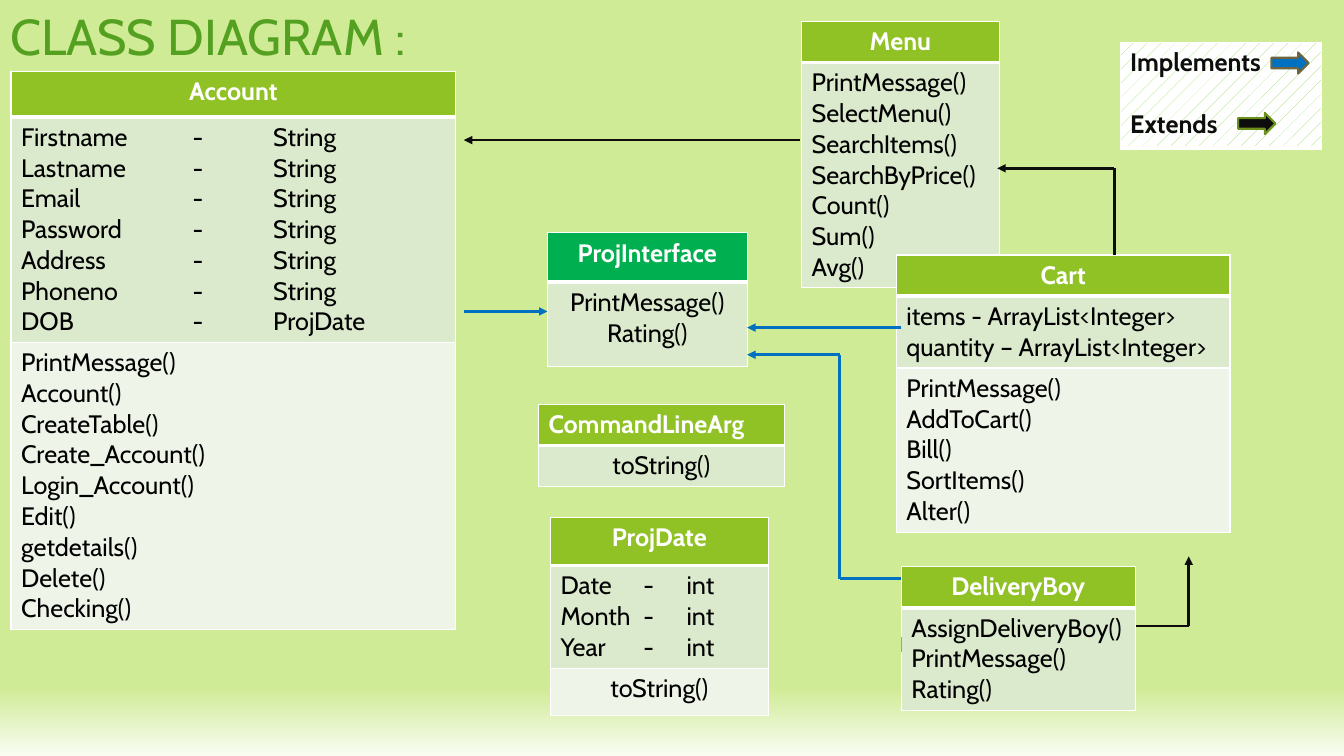
from collections import namedtuple

from lxml import etree
from pptx import Presentation
from pptx.dml.color import RGBColor
from pptx.enum.dml import MSO_PATTERN
from pptx.enum.shapes import MSO_CONNECTOR, MSO_SHAPE
from pptx.enum.text import MSO_ANCHOR, MSO_AUTO_SIZE, PP_ALIGN
from pptx.oxml.ns import qn
from pptx.util import Emu, Pt

PX = 9144
FONT = "Cabin"
LEFT, CENTER = PP_ALIGN.LEFT, PP_ALIGN.CENTER
STRAIGHT = MSO_CONNECTOR.STRAIGHT
RIGHT_ARROW = MSO_SHAPE.RIGHT_ARROW
PERCENT_5 = MSO_PATTERN.PERCENT_5
TOP = MSO_ANCHOR.TOP
NO_AUTOFIT = MSO_AUTO_SIZE.NONE

WHITE = RGBColor(0xFF, 0xFF, 0xFF)
BLACK = RGBColor(0x00, 0x00, 0x00)
INK = RGBColor(0x0D, 0x0D, 0x0D)
BLUE = RGBColor(0x00, 0x70, 0xC0)
GREEN = RGBColor(0x90, 0xC2, 0x26)
INTERFACE_GREEN = RGBColor(0x00, 0xB0, 0x50)
TITLE_GREEN = RGBColor(0x54, 0xA0, 0x21)
HATCH_GREEN = RGBColor(0x94, 0xDE, 0x61)
OLIVE = RGBColor(0x6D, 0x65, 0x40)
MOSS = RGBColor(0x6B, 0x90, 0x1C)
BACKGROUND = RGBColor(0xD0, 0xEB, 0x96)
BACKGROUND_END = RGBColor(0xFA, 0xFD, 0xF3)
SECTION_FILLS = (RGBColor(0xDB, 0xE9, 0xCD), RGBColor(0xEE, 0xF4, 0xE8))

Section = namedtuple("Section", "height lines alignment tabs", defaults=(LEFT, ()))


def px(value):
    return Emu(value * PX)


def style_runs(paragraph, size, colour, bold=False):
    for run in paragraph.runs:
        run.font.name = FONT
        run.font.size = Pt(size)
        run.font.bold = bold
        run.font.color.rgb = colour


def set_tabs(paragraph, positions):
    properties = paragraph._p.get_or_add_pPr()
    tab_list = etree.SubElement(properties, qn("a:tabLst"))
    for position in positions:
        etree.SubElement(tab_list, qn("a:tab"), pos=str(px(position)), algn="l")


def set_borders(cell, top_width, bottom_width):
    properties = cell._tc.get_or_add_tcPr()
    widths = (("lnL", 1), ("lnR", 1), ("lnT", top_width), ("lnB", bottom_width))
    for side, width in widths:
        line = etree.SubElement(properties, qn(f"a:{side}"), w=str(Pt(width)))
        fill = etree.SubElement(line, qn("a:solidFill"))
        etree.SubElement(fill, qn("a:srgbClr"), val=str(WHITE))


def write_cell(cell, lines, colour, bold=False, alignment=LEFT, tabs=()):
    cell.text_frame.text = "\n".join(lines)
    for paragraph in cell.text_frame.paragraphs:
        paragraph.alignment = alignment
        style_runs(paragraph, 18, colour, bold)
        if tabs:
            set_tabs(paragraph, tabs)


def add_column(slide, left, top, width, heights):
    frame = slide.shapes.add_table(
        len(heights), 1, px(left), px(top), px(width), px(sum(heights)))
    table = frame.table
    table.first_row = False
    table.horz_banding = False
    for row, height in zip(table.rows, heights):
        row.height = px(height)
    cells = [table.cell(index, 0) for index in range(len(heights))]
    for index, cell in enumerate(cells):
        set_borders(cell, 3 if index == 1 else 1, 3 if index == 0 else 1)
    return cells


def add_class(slide, name, left, top, width, header_height, sections,
              header_fill=GREEN, name_alignment=CENTER):
    heights = [header_height] + [section.height for section in sections]
    header, *bodies = add_column(slide, left, top, width, heights)
    header.fill.solid()
    header.fill.fore_color.rgb = header_fill
    write_cell(header, [name], WHITE, True, name_alignment)
    for cell, section, fill in zip(bodies, sections, SECTION_FILLS):
        cell.fill.solid()
        cell.fill.fore_color.rgb = fill
        write_cell(cell, section.lines, BLACK, False, section.alignment, section.tabs)


def add_route(slide, colour, points, width=2, arrow=True):
    for start, end in zip(points, points[1:]):
        connector = slide.shapes.add_connector(STRAIGHT, *map(px, start + end))
        connector.line.color.rgb = colour
        connector.line.width = Pt(width)
        if arrow and end == points[-1]:
            line = connector.line._get_or_add_ln()
            etree.SubElement(line, qn("a:tailEnd"), type="triangle")
        etree.SubElement(connector._element.spPr, qn("a:effectLst"))


def add_legend(slide):
    cell, = add_column(slide, 1111, 42, 200, [105])
    cell.fill.patterned()
    cell.fill.pattern = PERCENT_5
    cell.fill.fore_color.rgb = HATCH_GREEN
    cell.fill.back_color.rgb = WHITE
    write_cell(cell, ["Implements", "Extends"], INK, True)
    cell.text_frame.paragraphs[1].space_before = Pt(22)
    for left, top, fill, outline in ((1261, 52, BLUE, OLIVE), (1228, 112, INK, MOSS)):
        arrow = slide.shapes.add_shape(RIGHT_ARROW, px(left), px(top), px(37), px(21))
        arrow.shadow.inherit = False
        arrow.fill.solid()
        arrow.fill.fore_color.rgb = fill
        arrow.line.color.rgb = outline
        arrow.line.width = Pt(1.5)


def set_background(slide):
    fill = slide.background.fill
    fill.gradient()
    fill.gradient_angle = 270
    stops = ((0.91, BACKGROUND), (1, BACKGROUND_END))
    for stop, (position, colour) in zip(fill.gradient_stops, stops):
        stop.position = position
        stop.color.rgb = colour


def set_title(slide, text):
    title = slide.shapes.title
    title.left, title.top, title.width, title.height = map(px, (0, 0, 1333, 750))
    frame = title.text_frame
    frame.text = text
    frame.auto_size = NO_AUTOFIT
    frame.vertical_anchor = TOP
    frame.paragraphs[0].alignment = LEFT
    style_runs(frame.paragraphs[0], 36, TITLE_GREEN)


def add_classes(slide):
    add_class(slide, "ProjDate", 546, 513, 216, 48, [
        Section(102, ["Date\t-\tint", "Month\t-\tint", "Year\t-\tint"], LEFT, (82, 125)),
        Section(47, ["toString()"], CENTER)])
    add_class(slide, "ProjInterface", 543, 231, 198, 49, [
        Section(84, ["PrintMessage()", "Rating()"], CENTER)], INTERFACE_GREEN)
    add_class(slide, "Account", 11, 71, 441, 45, [
        Section(223, ["Firstname\t-\tString", "Lastname\t-\tString", "Email\t-\tString",
                      "Password\t-\tString", "Address\t-\tString", "Phoneno\t-\tString",
                      "DOB\t-\tProjDate"], LEFT, (170, 250)),
        Section(285, ["PrintMessage()", "Account()", "CreateTable()", "Create_Account()",
                      "Login_Account()", "Edit()", "getdetails()", "Delete()",
                      "Checking()"])])
    add_class(slide, "Menu", 795, 21, 196, 41, [
        Section(223, ["PrintMessage()", "SelectMenu()", "SearchItems()",
                      "SearchByPrice()", "Count()", "Sum()", "Avg()"])])
    add_class(slide, "Cart", 889, 253, 331, 41, [
        Section(71, ["items - ArrayList<Integer>", "quantity – ArrayList<Integer>"]),
        Section(163, ["PrintMessage()", "AddToCart()", "Bill()", "SortItems()", "Alter()"])])
    add_class(slide, "DeliveryBoy", 894, 562, 232, 41, [
        Section(102, ["AssignDeliveryBoy()", "PrintMessage()", "Rating()"])])
    add_class(slide, "CommandLineArg", 534, 401, 244, 41, [
        Section(41, ["toString()"], CENTER)], name_alignment=LEFT)


def add_routes(slide):
    add_route(slide, INK, [(793, 139), (460, 139)])
    add_route(slide, INK, [(1105, 253), (1105, 167), (989, 167)])
    add_route(slide, INK, [(1127, 621), (1179, 621), (1179, 552)])
    add_route(slide, BLUE, [(460, 309), (543, 309)])
    add_route(slide, BLUE, [(894, 325), (741, 325)])
    add_route(slide, GREEN, [(894, 632), (894, 647)], 1, False)
    add_route(slide, BLUE, [(894, 574), (833, 574), (833, 352), (741, 352)])


def main():
    presentation = Presentation()
    presentation.slide_width, presentation.slide_height = px(1333), px(750)
    slide = presentation.slides.add_slide(presentation.slide_layouts[5])
    set_background(slide)
    set_title(slide, "CLASS DIAGRAM :")
    add_classes(slide)
    add_routes(slide)
    add_legend(slide)
    presentation.save("out.pptx")


if __name__ == "__main__":
    main()
